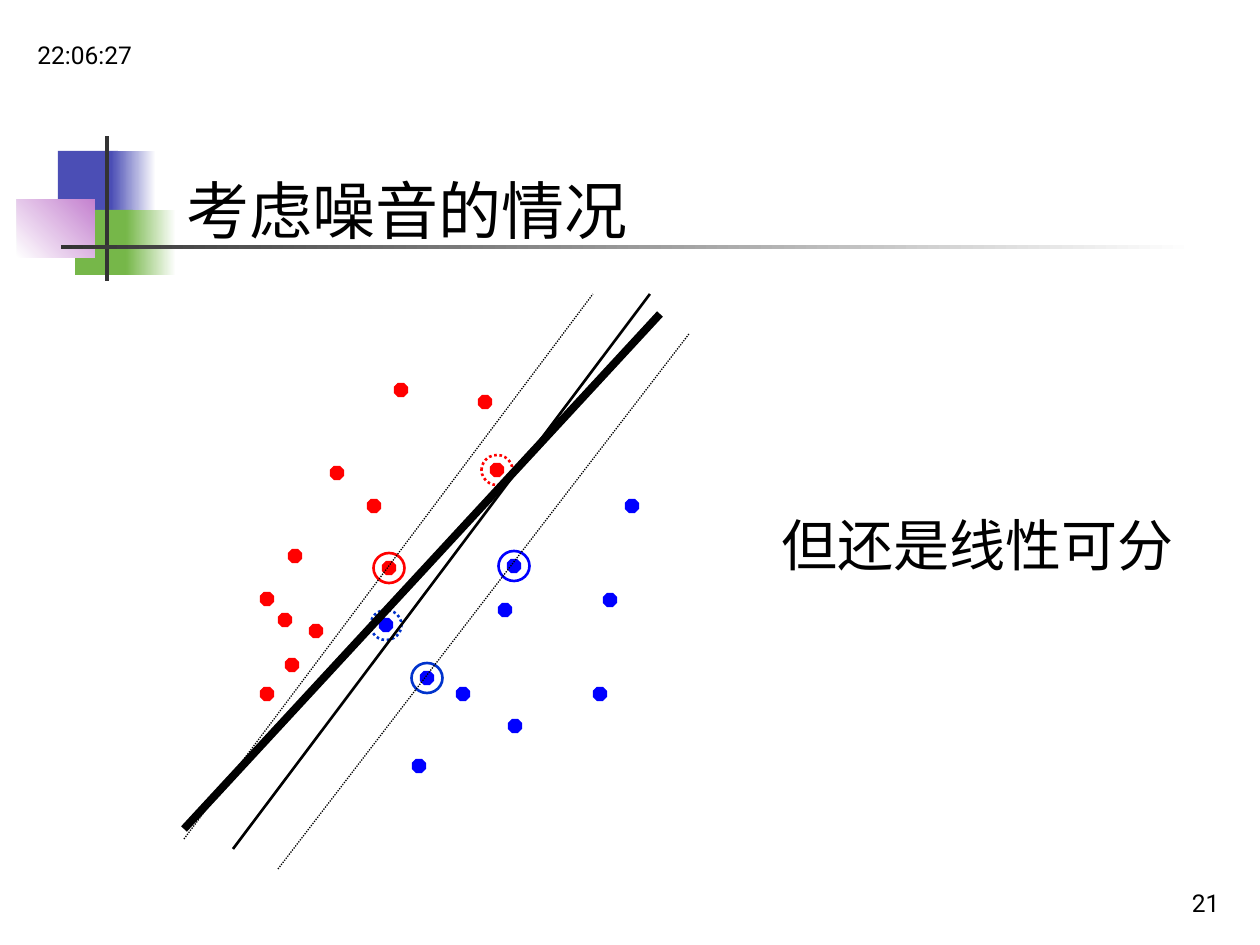
"""Build a slide on a linear classifier with noisy but separable samples."""
from dataclasses import dataclass
from typing import Optional

from lxml import etree
from pptx import Presentation
from pptx import util as u
from pptx.dml.color import RGBColor
from pptx.enum import dml, shapes, text
from pptx.oxml import ns

PIXEL = 914400 // 126
DOT = 13
RING_WIDTH, RING_HEIGHT = 31, 30
COLORS = {
    "black": "000000", "white": "FFFFFF", "dark": "333333", "red": "FF0000",
    "blue": "0000FF", "ring": "0033CC", "indigo": "4B4EB5", "green": "76B749",
    "pink": "C481CF",
}


@dataclass
class Block:
    left: int
    top: int
    width: int
    height: int
    color: str
    end: Optional[str] = None
    angle: int = 0


@dataclass
class Sample:
    x: int
    y: int
    color: str
    ring: Optional[str] = None
    dotted: bool = False


@dataclass
class Line:
    x1: int
    y1: int
    x2: int
    y2: int
    weight: float
    dotted: bool = False


@dataclass
class Label:
    left: int
    top: int
    width: int
    height: int
    words: str
    size: int
    font: str
    anchor: text.MSO_ANCHOR = text.MSO_ANCHOR.TOP
    align: text.PP_ALIGN = text.PP_ALIGN.LEFT


BLOCKS = [
    Block(58, 151, 60, 66, "indigo"),
    Block(111, 151, 45, 66, "indigo", "white"),
    Block(75, 210, 58, 65, "green"),
    Block(126, 210, 50, 65, "green", "white"),
    Block(17, 199, 78, 59, "white", "pink", 45),
    Block(105, 136, 4, 145, "dark"),
    Block(61, 245, 1134, 4, "dark", "white"),
]
SAMPLES = [
    *(Sample(x, y, "red") for x, y in [
        (374, 506), (295, 556), (316, 631), (267, 694), (337, 473),
        (267, 599), (285, 620), (401, 390), (485, 402), (292, 665)]),
    *(Sample(x, y, "blue") for x, y in [
        (463, 694), (600, 694), (419, 766), (505, 610),
        (515, 726), (610, 600), (632, 506)]),
    Sample(389, 568, "red", "red"),
    Sample(427, 678, "blue", "ring"),
    Sample(514, 566, "blue", "blue"),
    Sample(497, 470, "red", "red", True),
    Sample(386, 625, "blue", "ring", True),
]
LINES = [
    Line(233, 849, 650, 294, 1.5),
    Line(278, 869, 689, 334, 0.75, True),
    Line(184, 839, 593, 294, 0.75, True),
    Line(184, 829, 660, 314, 4.5),
]
TITLE = Label(174, 165, 903, 88, "考虑噪音的情况", 36, "Noto Sans CJK JP")
LABELS = [
    Label(970, 861, 262, 63, "21", 14, "Roboto",
          text.MSO_ANCHOR.BOTTOM, text.PP_ALIGN.RIGHT),
    Label(769, 504, 427, 120, "但还是线性可分", 32, "Noto Sans CJK JP"),
    Label(25, 13, 262, 63, "22:06:27", 14, "Roboto", text.MSO_ANCHOR.BOTTOM),
]


def rgb(name: str) -> RGBColor:
    return RGBColor.from_string(COLORS[name])


def box(left: float, top: float, width: int, height: int) -> list[int]:
    return [round(value * PIXEL) for value in (left, top, width, height)]


def style_line(line, color: str, weight: float, dotted: bool = False) -> None:
    line.color.rgb = rgb(color)
    line.width = u.Pt(weight)
    if dotted:
        line.dash_style = dml.MSO_LINE.ROUND_DOT


def add_block(slide, block: Block) -> None:
    shape = slide.shapes.add_shape(
        shapes.MSO_SHAPE.RECTANGLE,
        *box(block.left, block.top, block.width, block.height))
    shape.shadow.inherit = False
    shape.line.fill.background()
    if block.end is None:
        shape.fill.solid()
        shape.fill.fore_color.rgb = rgb(block.color)
        return
    shape.fill.gradient()
    shape.fill.gradient_angle = block.angle
    for stop, color in zip(shape.fill.gradient_stops, (block.color, block.end)):
        stop.color.rgb = rgb(color)


def add_sample(slide, sample: Sample) -> None:
    dot = slide.shapes.add_shape(
        shapes.MSO_SHAPE.OCTAGON,
        *box(sample.x - DOT / 2, sample.y - DOT / 2, DOT, DOT))
    dot.shadow.inherit = False
    dot.fill.solid()
    dot.fill.fore_color.rgb = rgb(sample.color)
    style_line(dot.line, sample.color, 0.75)
    if sample.ring:
        ring = slide.shapes.add_shape(
            shapes.MSO_SHAPE.OVAL,
            *box(sample.x - RING_WIDTH / 2, sample.y - RING_HEIGHT / 2,
                 RING_WIDTH, RING_HEIGHT))
        ring.shadow.inherit = False
        ring.fill.background()
        style_line(ring.line, sample.ring, 1.5, sample.dotted)


def add_line(slide, line: Line) -> None:
    connector = slide.shapes.add_connector(
        shapes.MSO_CONNECTOR.STRAIGHT, *box(line.x1, line.y1, line.x2, line.y2))
    style_line(connector.line, "black", line.weight, line.dotted)
    etree.SubElement(connector._element.spPr, ns.qn("a:effectLst"))


def write_label(shape, label: Label) -> None:
    shape.left, shape.top, shape.width, shape.height = box(
        label.left, label.top, label.width, label.height)
    frame = shape.text_frame
    frame.text = label.words
    frame.word_wrap = True
    frame.auto_size = text.MSO_AUTO_SIZE.NONE
    frame.vertical_anchor = label.anchor
    paragraph = frame.paragraphs[0]
    paragraph.alignment = label.align
    font = paragraph.runs[0].font
    font.name = label.font
    font.size = u.Pt(label.size)
    font.color.rgb = rgb("black")
    east_asian = etree.SubElement(font._element, ns.qn("a:ea"))
    east_asian.set("typeface", label.font)


def main() -> None:
    presentation = Presentation()
    presentation.slide_width = 1260 * PIXEL
    presentation.slide_height = 945 * PIXEL
    slide = presentation.slides.add_slide(presentation.slide_layouts[5])
    for block in BLOCKS:
        add_block(slide, block)
    write_label(slide.shapes.title, TITLE)
    for sample in SAMPLES:
        add_sample(slide, sample)
    for line in LINES:
        add_line(slide, line)
    for label in LABELS:
        write_label(slide.shapes.add_textbox(0, 0, 0, 0), label)
    presentation.save("out.pptx")


main()
